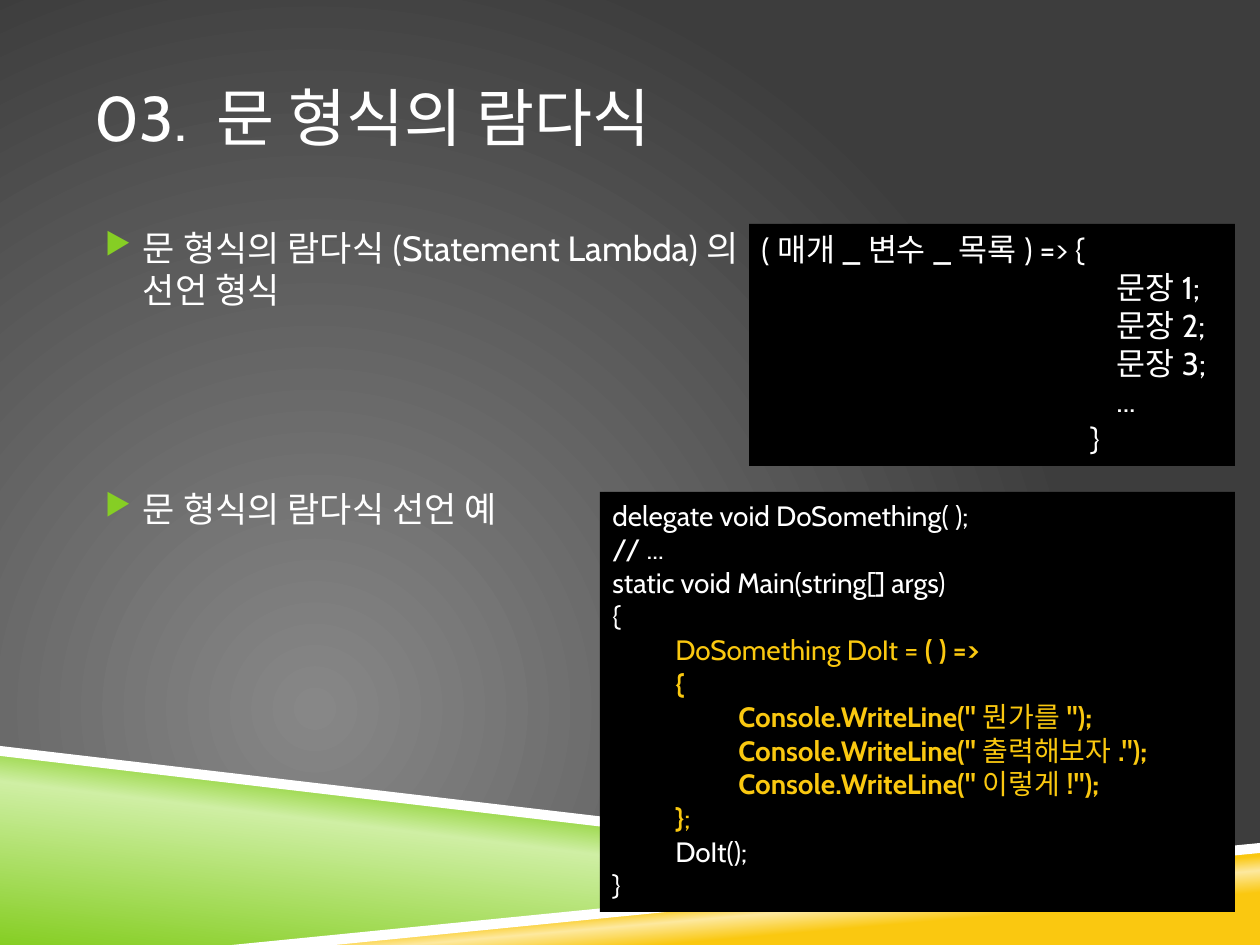
from lxml.etree import SubElement
from pptx import Presentation
from pptx.dml.color import RGBColor
from pptx.enum.shapes import MSO_SHAPE as Shape
from pptx.enum.text import MSO_ANCHOR as Anchor, MSO_AUTO_SIZE as AutoSize, PP_ALIGN as Align
from pptx.oxml.ns import qn
from pptx.util import Pt

SCALE = 914400 / 126
FONT = "Cabin"
COLORS = {
    "white": "FFFFFF", "black": "000000", "green": "86CE24", "mint": "CFEFA4",
    "gold": "FAC810", "cream": "FDE99F", "gray": "878787", "charcoal": "3D3D3D",
}


def px(n):
    return round(n * SCALE)


def rgb(name):
    return RGBColor.from_string(COLORS[name])


def set_gradient(fill, parent, stops, angle=None):
    fill.solid()
    solid = parent.find(qn("a:solidFill"))
    grad = parent.makeelement(qn("a:gradFill"), {"rotWithShape": "1"})
    parent.replace(solid, grad)
    stop_list = SubElement(grad, qn("a:gsLst"))
    for pos, name in stops:
        stop = SubElement(stop_list, qn("a:gs"), pos=str(pos * 1000))
        SubElement(stop, qn("a:srgbClr"), val=COLORS[name])
    if angle is None:
        circle = SubElement(grad, qn("a:path"), {"path": "circle"})
        SubElement(circle, qn("a:fillToRect"), l="50000", t="100000", r="100000", b="50000")
    else:
        SubElement(grad, qn("a:lin"), ang=str(angle * 60000), scaled="0")


def add_background(s):
    fill = s.background.fill
    fill.solid()
    bg_pr = s._element.cSld.find(qn("p:bg")).find(qn("p:bgPr"))
    set_gradient(fill, bg_pr, [(0, "gray"), (100, "charcoal")])


def add_band(s, points, color=None, stops=None, angle=0):
    builder = s.shapes.build_freeform(*points[0], scale=SCALE)
    builder.add_line_segments(points[1:], close=True)
    sp = builder.convert_to_shape()
    sp.shadow.inherit = False
    sp.line.fill.background()
    if stops:
        set_gradient(sp.fill, sp._element.spPr, stops, angle)
    else:
        sp.fill.solid()
        sp.fill.fore_color.rgb = rgb(color)


def place(sp, box):
    sp.left, sp.top, sp.width, sp.height = map(px, box)


def format_run(r, size, color="white", bold=False):
    r.font.name = FONT
    r.font.size = Pt(size)
    r.font.bold = bold
    r.font.color.rgb = rgb(color)


def set_frame(tf, anchor):
    tf.word_wrap = True
    tf.vertical_anchor = anchor
    tf.margin_left = tf.margin_right = 0


def set_title(s, text, box):
    title = s.shapes.title
    place(title, box)
    tf = title.text_frame
    set_frame(tf, Anchor.MIDDLE)
    tf.text = text
    p = tf.paragraphs[0]
    p.alignment = Align.LEFT
    format_run(p.runs[0], 36)


def set_bullet(p):
    p_pr = p._p.get_or_add_pPr()
    p_pr.set("marL", str(px(48)))
    p_pr.set("indent", str(px(-38)))
    color = SubElement(p_pr, qn("a:buClr"))
    SubElement(color, qn("a:srgbClr"), val=COLORS["green"])
    SubElement(p_pr, qn("a:buSzPct"), val="85000")
    SubElement(p_pr, qn("a:buChar"), char="▶")


def add_bullets(s, box, items):
    tf = s.shapes.add_textbox(*map(px, box)).text_frame
    set_frame(tf, Anchor.TOP)
    for i, (text, space) in enumerate(items):
        p = tf.add_paragraph() if i else tf.paragraphs[0]
        p.text = text
        p.space_before = Pt(space)
        set_bullet(p)
        for r in p.runs:
            format_run(r, 20)


def add_code(s, box, size, lines):
    sp = s.shapes.add_shape(Shape.RECTANGLE, *map(px, box))
    sp.shadow.inherit = False
    sp.fill.solid()
    sp.fill.fore_color.rgb = rgb("black")
    sp.line.fill.background()
    tf = sp.text_frame
    tf.word_wrap = True
    tf.vertical_anchor = Anchor.TOP
    tf.auto_size = AutoSize.SHAPE_TO_FIT_TEXT
    for i, (indent, *runs) in enumerate(lines):
        p = tf.add_paragraph() if i else tf.paragraphs[0]
        p.alignment = Align.LEFT
        p._p.get_or_add_pPr().set("marL", str(px(indent)))
        for text, *style in runs:
            r = p.add_run()
            r.text = text
            format_run(r, size, *style)


def write_line(text, end):
    return (126, ('Console.WriteLine("', "gold", True), (text, "gold"), (end, "gold", True))


def main():
    prs = Presentation()
    prs.slide_width, prs.slide_height = px(1260), px(945)
    s = prs.slides.add_slide(prs.slide_layouts[5])

    add_background(s)
    add_band(s, [(0, 752), (998, 872), (252, 945), (0, 945)],
             stops=[(0, "green"), (52, "mint"), (66, "green")], angle=277)
    add_band(s, [(249, 945), (1260, 847), (1260, 945)],
             stops=[(28, "gold"), (40, "cream"), (48, "gold")], angle=265)
    add_band(s, [(0, 746), (0, 756), (995, 873), (1048, 869)], "white")
    add_band(s, [(1260, 843), (232, 945), (335, 945), (1260, 853)], "white")

    set_title(s, "03. 문 형식의 람다식", (95, 38, 1071, 157))
    add_bullets(s, (95, 220, 1071, 559), [
        ("문 형식의 람다식(Statement Lambda)의 \v선언 형식", 7),
        ("문 형식의 람다식 선언 예", 101),
    ])
    statements = [(355, (text,)) for text in ("문장1;", "문장2;", "문장3;", "...")]
    add_code(s, (749, 224, 486, 242), 18,
             [(0, ("(매개_변수_목록) => {",)), *statements, (329, ("}",))])
    add_code(s, (600, 492, 635, 420), 16, [
        (0, ("delegate void DoSomething( );",)),
        (0, ("// ...",)),
        (0, ("static void Main(string[] args)",)),
        (0, ("{",)),
        (63, ("DoSomething DoIt = ", "gold"), ("( ) =>", "gold", True)),
        (63, ("{", "gold", True)),
        write_line("뭔가를", '");'),
        write_line("출력해보자", '.");'),
        write_line("이렇게", '!");'),
        (63, ("}", "gold", True), (";", "gold")),
        (63, ("DoIt();",)),
        (0, ("}",)),
    ])
    prs.save("out.pptx")


if __name__ == "__main__":
    main()
